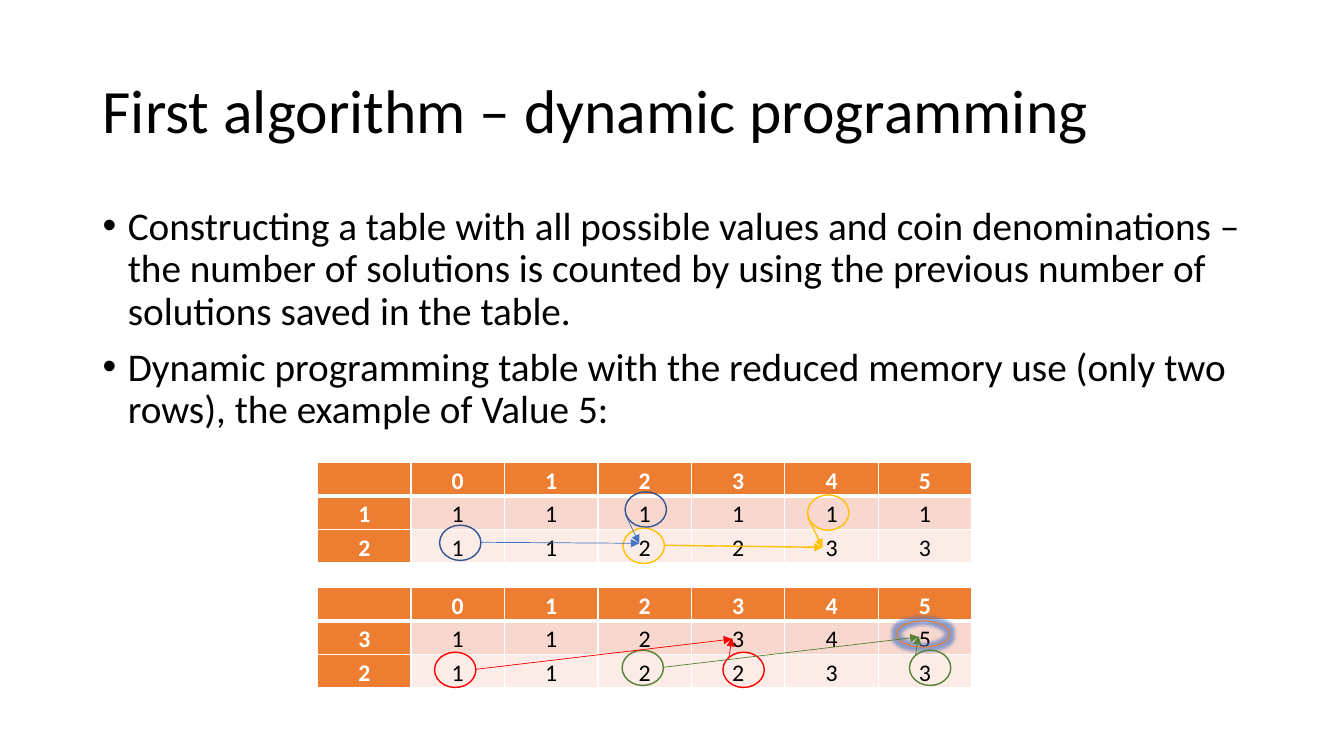
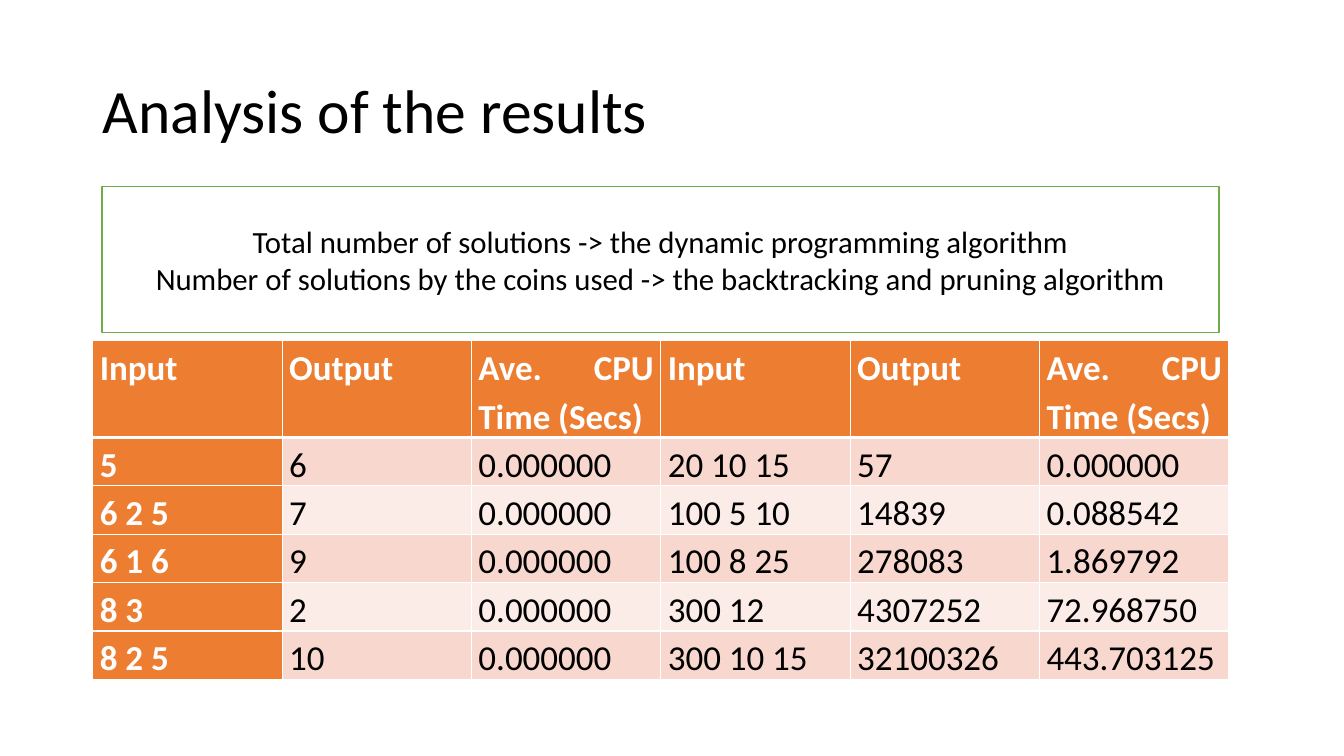
from pptx import Presentation
from pptx.dml.color import RGBColor
from pptx.enum.shapes import MSO_CONNECTOR, MSO_SHAPE
from pptx.enum.text import MSO_ANCHOR, PP_ALIGN
from pptx.oxml.ns import qn
from pptx.util import Inches, Pt
from lxml.etree import SubElement

FONT = "Calibri"
COLORS = {
    "white": "FFFFFF", "black": "000000", "orange": "ED7D31",
    "band_dark": "F8D7CE", "band_light": "FCECE8",
    "navy": "325491", "blue": "4472C4", "gold": "FFC000",
    "red": "FF0000", "dark_green": "548235", "green": "70AD47",
}
RGB = {name: RGBColor.from_string(value) for name, value in COLORS.items()}


def write(frame, *lines, size, color="black", bold=False, align=PP_ALIGN.LEFT,
          spacing=1.0, before=0, bullet=None, anchor=MSO_ANCHOR.TOP):
    """Fill a text frame or table cell with one paragraph per line."""
    frame.word_wrap = True
    frame.vertical_anchor = anchor
    for index, line in enumerate(lines):
        para = frame.add_paragraph() if index else frame.paragraphs[0]
        para.alignment = align
        para.line_spacing = spacing
        para.space_before = Pt(before)
        if bullet:
            properties = para._p.get_or_add_pPr()
            properties.set("marL", str(Inches(0.25)))
            properties.set("indent", str(-Inches(0.25)))
            SubElement(properties, qn("a:buFont"), typeface="Arial")
            SubElement(properties, qn("a:buChar"), char=bullet)
        span = para.add_run()
        span.text = line
        span.font.name = FONT
        span.font.size = Pt(size)
        span.font.bold = bold
        span.font.color.rgb = RGB[color]


def add_grid(page, rows, left, top, width, heights, size, align, anchor):
    """Add a table with an orange header row and column, and banded rows."""
    table = page.shapes.add_table(
        len(rows), len(rows[0]), Inches(left), Inches(top),
        Inches(width), Inches(sum(heights))).table
    table.horz_banding = False
    for row, height in zip(table.rows, heights):
        row.height = Inches(height)
    for r, values in enumerate(rows):
        for c, value in enumerate(values):
            cell = table.cell(r, c)
            cell.margin_left = cell.margin_right = Inches(0.07)
            cell.margin_top = cell.margin_bottom = 0
            borders = {"lnL": 1, "lnR": 1, "lnT": 3 if r == 1 else 1,
                       "lnB": 3 if r == 0 else 1}
            for side, points in borders.items():
                border = SubElement(cell._tc.get_or_add_tcPr(), qn(f"a:{side}"),
                                    w=str(Pt(points)))
                fill = SubElement(border, qn("a:solidFill"))
                SubElement(fill, qn("a:srgbClr"), val=COLORS["white"])
            heading = r == 0 or c == 0
            band = "band_dark" if r % 2 else "band_light"
            cell.fill.solid()
            cell.fill.fore_color.rgb = RGB["orange" if heading else band]
            if value:
                write(cell.text_frame, value, size=size, bold=heading,
                      color="white" if heading else "black",
                      align=align, spacing=1.15)
            cell.vertical_anchor = anchor


deck = Presentation()
deck.slide_width, deck.slide_height = Inches(13.33), Inches(7.5)

pages = []
for title in ("First algorithm – dynamic programming", "Analysis of the results"):
    page = deck.slides.add_slide(deck.slide_layouts[6])
    box = page.shapes.add_textbox(Inches(0.92), Inches(0.4), Inches(11.5), Inches(1.45))
    write(box.text_frame, title, size=44, spacing=0.9, anchor=MSO_ANCHOR.MIDDLE)
    pages.append(page)
algorithm_page, results_page = pages

# Slide 1: dynamic programming tables
box = algorithm_page.shapes.add_textbox(Inches(0.92), Inches(2), Inches(11.5), Inches(4.76))
write(box.text_frame,
      "Constructing a table with all possible values and coin denominations – the number "
      "of solutions is counted by using the previous number of solutions saved in the table.",
      "Dynamic programming table with the reduced memory use (only two rows), "
      "the example of Value 5:",
      size=28, spacing=0.9, before=10, bullet="•")

for top, first_row in ((4.59, "3111111"), (5.83, "3112345")):
    if top == 4.59:
        first_row = "1" + first_row[1:]
    add_grid(algorithm_page, [["", *"012345"], first_row, "2112233"], 3.15, top, 6.49,
             [0.33] * 3, 17, PP_ALIGN.CENTER, MSO_ANCHOR.MIDDLE)

# Circle: colour, left, top, width, height, line width
CIRCLE = (0.41, 0.35, 1)
circles = [
    ("orange", 8.89, 6.16, 0.53, 0.26, 0.75),
    ("navy", 6.2, 4.88, *CIRCLE), ("navy", 4.36, 5.21, *CIRCLE),
    ("gold", 8.01, 4.91, *CIRCLE), ("gold", 6.18, 5.24, *CIRCLE),
    ("red", 7.17, 6.47, *CIRCLE), ("red", 4.31, 6.47, *CIRCLE),
    ("dark_green", 9.02, 6.45, *CIRCLE), ("dark_green", 6.17, 6.45, *CIRCLE),
]
for color, left, top, width, height, weight in circles:
    circle = algorithm_page.shapes.add_shape(
        MSO_SHAPE.OVAL, Inches(left), Inches(top), Inches(width), Inches(height))
    circle.shadow.inherit = False
    circle.fill.background()
    circle.line.color.rgb = RGB[color]
    circle.line.width = Pt(weight)
    if color == "orange":
        effects = circle._element.spPr.find(qn("a:effectLst"))
        glow = SubElement(effects, qn("a:glow"), rad=str(Pt(5)))
        tint = SubElement(glow, qn("a:srgbClr"), val=COLORS["blue"])
        SubElement(tint, qn("a:alpha"), val="60000")

# Arrow: colour, line width, start, end
arrows = [
    ("blue", 0.5, (6.2, 5.1), (6.34, 5.39)),
    ("blue", 0.5, (4.77, 5.38), (6.34, 5.39)),
    ("gold", 1, (8.01, 5.13), (8.16, 5.43)),
    ("gold", 1, (6.59, 5.41), (8.16, 5.43)),
    ("red", 0.5, (4.72, 6.64), (7.26, 6.34)),
    ("red", 0.5, (7.23, 6.52), (7.26, 6.33)),
    ("dark_green", 0.5, (6.58, 6.62), (9.11, 6.32)),
    ("dark_green", 0.5, (9.08, 6.5), (9.11, 6.31)),
]
for color, weight, start, end in arrows:
    arrow = algorithm_page.shapes.add_connector(
        MSO_CONNECTOR.STRAIGHT, *(Inches(value) for value in (*start, *end)))
    arrow.line.color.rgb = RGB[color]
    arrow.line.width = Pt(weight)
    SubElement(arrow.line._get_or_add_ln(), qn("a:tailEnd"), type="triangle")
    SubElement(arrow._element.spPr, qn("a:effectLst"))

# Slide 2: measured results
results = [
    ["Input", "Output", "Ave. CPU Time (Secs)"] * 2,
    ["5", "6", "0.000000", "20 10 15", "57", "0.000000"],
    ["6 2 5", "7", "0.000000", "100 5 10", "14839", "0.088542"],
    ["6 1 6", "9", "0.000000", "100 8 25", "278083", "1.869792"],
    ["8 3", "2", "0.000000", "300 12", "4307252", "72.968750"],
    ["8 2 5", "10", "0.000000", "300 10 15", "32100326", "443.703125"],
]
add_grid(results_page, results, 0.92, 3.38, 11.27, [0.96] + [0.48] * 5, 25,
         PP_ALIGN.JUSTIFY, MSO_ANCHOR.TOP)

summary = results_page.shapes.add_shape(
    MSO_SHAPE.RECTANGLE, Inches(1.01), Inches(1.85), Inches(11.08), Inches(1.45))
summary.shadow.inherit = False
summary.fill.solid()
summary.fill.fore_color.rgb = RGB["white"]
summary.line.color.rgb = RGB["green"]
summary.line.width = Pt(1)
write(summary.text_frame,
      "Total number of solutions -> the dynamic programming algorithm",
      "Number of solutions by the coins used -> the backtracking and pruning algorithm",
      size=22, align=PP_ALIGN.CENTER, anchor=MSO_ANCHOR.MIDDLE)

deck.save("out.pptx")
